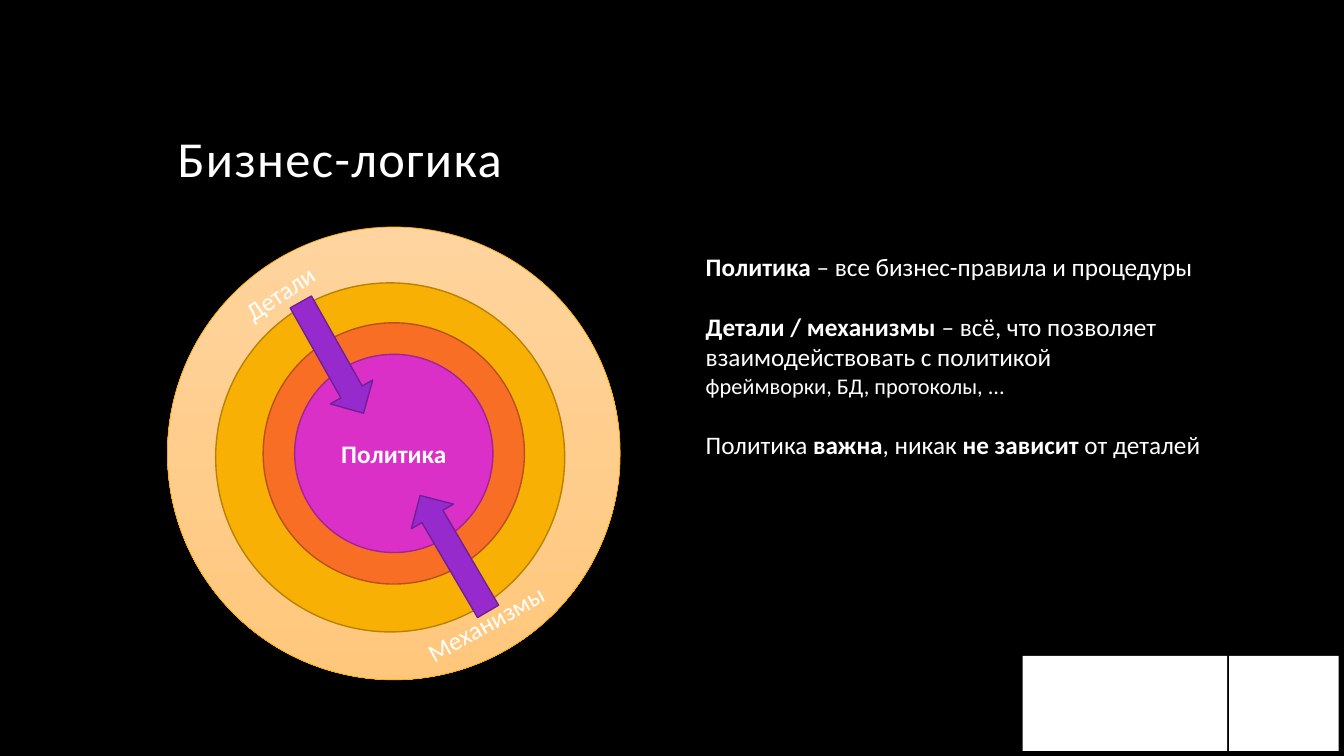
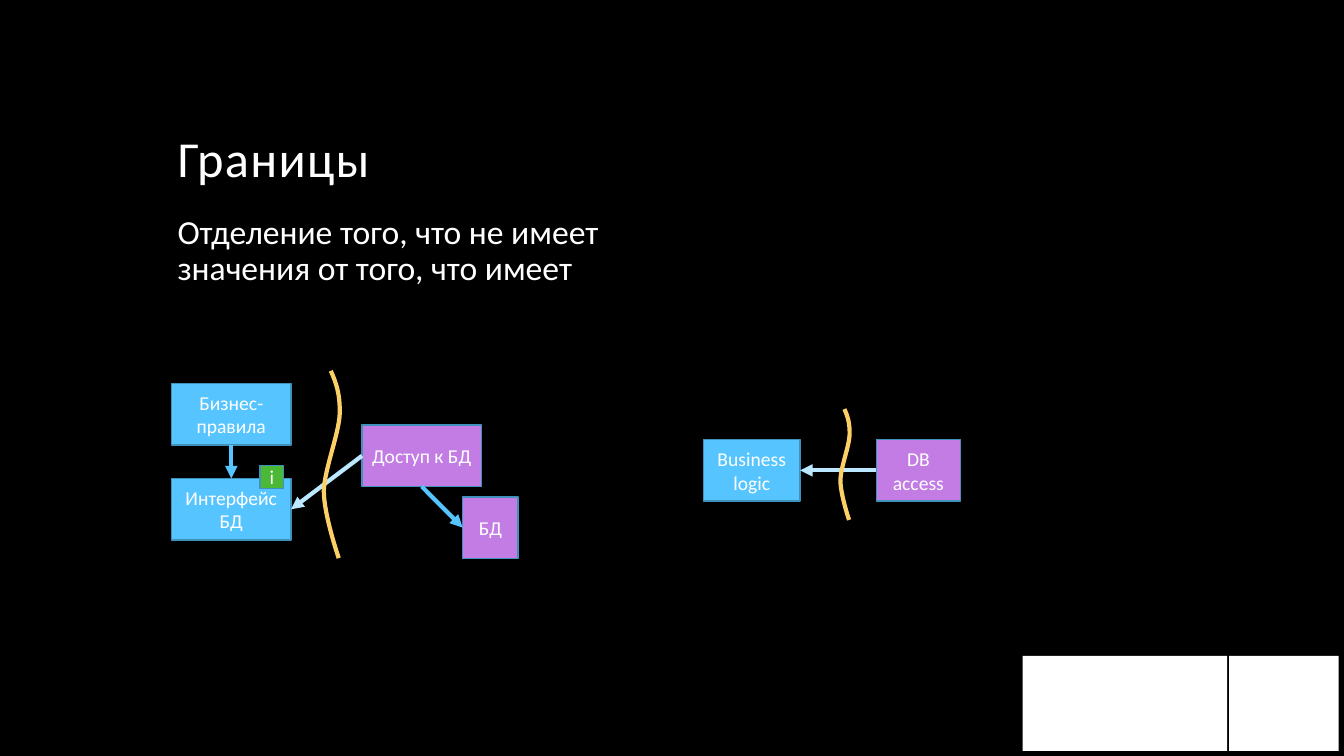
from dataclasses import dataclass

from lxml.etree import SubElement
from pptx import Presentation
from pptx.dml.color import RGBColor
from pptx.enum.shapes import MSO_CONNECTOR as Line, MSO_SHAPE as Shape
from pptx.enum.text import MSO_ANCHOR as Anchor, PP_ALIGN as Align
from pptx.oxml.ns import qn
from pptx.util import Inches, Pt

COLS, ROWS = 160, 90
TOP, LEFT, BOTTOM, RIGHT = range(4)


@dataclass(frozen=True)
class Theme:
    font: str = "Calibri"
    back: str = "000000"
    text: str = "FFFFFF"
    halo: tuple = ("FFD49E", "FFC77C")
    halo_line: str = "F8B004"
    amber: tuple = ("F8B004", "B78203")
    orange: tuple = ("F86E24", "B7511B")
    magenta: tuple = ("DB30C7", "A22493")
    violet: tuple = ("972ACD", "701F98")
    blue: tuple = ("56C5FF", "4092BD")
    lilac: tuple = ("C27CE4", "4092BD")
    green: tuple = ("4BB836", "4092BD")
    pale: str = "BBE8FF"
    border: str = "FDD067"
    title_size: int = 36
    lead_size: int = 24
    body_size: int = 18
    note_size: int = 16
    box_size: int = 14


class Deck:
    def __init__(self, theme):
        self.theme = theme
        self.prs = Presentation()
        self.prs.slide_width, self.prs.slide_height = Inches(13.333), Inches(7.5)
        self.slide = None

    def grid(self, *cells):
        units = (self.prs.slide_width / COLS, self.prs.slide_height / ROWS)
        return [round(c * units[i % 2]) for i, c in enumerate(cells)]

    def color(self, value):
        return RGBColor.from_string(value)

    def new_slide(self, title):
        self.slide = self.prs.slides.add_slide(self.prs.slide_layouts[6])
        fill = self.slide.background.fill
        fill.solid()
        fill.fore_color.rgb = self.color(self.theme.back)
        for x, w in ((121.75, 24.35), (146.33, 13.05)):
            self.shape(Shape.RECTANGLE, (x, 78.1, w, 11.3), (self.theme.text, None))
        tf = self.text((19.95, 5, 120, 18), [[(title,)]], self.theme.title_size, spacing=0.9)
        tf.vertical_anchor = Anchor.BOTTOM
        for r in tf.paragraphs[0].runs:
            r.font._element.set("spc", "100")

    def style(self, p, size, align=None):
        p.alignment = align
        p.font.name, p.font.size = self.theme.font, Pt(size)
        p.font.color.rgb = self.color(self.theme.text)

    def text(self, at, paragraphs, size, spacing=None, gap=0, rotation=0, wrap=True):
        sp = self.slide.shapes.add_textbox(*self.grid(*at))
        sp.rotation = rotation
        tf = sp.text_frame
        tf.word_wrap = wrap
        for i, runs in enumerate(paragraphs):
            p = tf.paragraphs[0] if i == 0 else tf.add_paragraph()
            self.style(p, size)
            p.line_spacing = spacing
            p.space_before = Pt(gap if i else 0)
            for text, *look in runs:
                if text == "\n":
                    p.add_line_break()
                    continue
                r = p.add_run()
                r.text = text
                r.font.bold = "bold" in look
                if "note" in look:
                    r.font.size = Pt(self.theme.note_size)
        return tf

    def label(self, center, size, text, rotation):
        (x, y), (w, h) = center, size
        self.text((x - w / 2, y - h / 2, w, h), [[(text,)]], self.theme.body_size,
                  rotation=rotation, wrap=False)

    def shape(self, kind, at, colors, width=1, text="", size=None, bold=False):
        sp = self.slide.shapes.add_shape(kind, *self.grid(*at))
        sp.shadow.inherit = False
        fill, line = colors
        if isinstance(fill, tuple):
            sp.fill.gradient()
            sp.fill.gradient_angle = 270
            for stop, value in zip(sp.fill.gradient_stops, fill):
                stop.color.rgb = self.color(value)
        else:
            sp.fill.solid()
            sp.fill.fore_color.rgb = self.color(fill)
        if line:
            sp.line.color.rgb = self.color(line)
            sp.line.width = Pt(width)
        else:
            sp.line.fill.background()
        if text:
            tf = sp.text_frame
            tf.word_wrap = True
            tf.margin_left = tf.margin_right = Inches(0.05)
            tf.vertical_anchor = Anchor.MIDDLE
            p = tf.paragraphs[0]
            p.text = text
            self.style(p, size, Align.CENTER)
            p.font.bold = bold
        return sp

    def ring(self, center, diameter, colors, **kw):
        x, y = (c - diameter / 2 for c in center)
        return self.shape(Shape.OVAL, (x, y, diameter, diameter), colors, **kw)

    def block_arrow(self, center, length, rotation):
        (x, y), h = center, 5.8
        sp = self.shape(Shape.RIGHT_ARROW, (x - length / 2, y - h / 2, length, h),
                        self.theme.violet)
        sp.rotation = rotation

    def box(self, at, text, colors):
        return self.shape(Shape.RECTANGLE, at, colors, text=text, size=self.theme.box_size)

    def link(self, start, start_side, end, end_side, color):
        cxn = self.slide.shapes.add_connector(Line.STRAIGHT, 0, 0, 0, 0)
        cxn.begin_connect(start, start_side)
        cxn.end_connect(end, end_side)
        cxn.line.color.rgb = self.color(color)
        cxn.line.width = Pt(3)
        SubElement(cxn.line._get_or_add_ln(), qn("a:tailEnd"), type="triangle")
        SubElement(cxn._element.spPr, qn("a:effectLst"))

    def wave(self, x, y, w, h):
        nodes = [(0.44, 0), (0.75, 0.06), (1.03, 0.12), (1, 0.23), (0.94, 0.34),
                 (0.06, 0.52), (0, 0.64), (0, 0.77), (0.94, 1), (0.94, 1)]
        points = [self.grid(x + px * w, y + py * h) for px, py in nodes]
        builder = self.slide.shapes.build_freeform(*points[0])
        builder.add_line_segments(points[1:], close=False)
        sp = builder.convert_to_shape()
        outline = next(sp._element.iter(qn("a:path")))
        segments = outline.findall(qn("a:lnTo"))
        for i in range(0, len(segments), 3):
            curve = SubElement(outline, qn("a:cubicBezTo"))
            for segment in segments[i:i + 3]:
                curve.append(segment[0])
                outline.remove(segment)
        sp.shadow.inherit = False
        sp.fill.background()
        sp.line.color.rgb = self.color(self.theme.border)
        sp.line.width = Pt(3)


def business_logic(deck):
    th = deck.theme
    deck.new_slide("Бизнес-логика")
    center = (46.88, 53.98)
    deck.ring(center, 53.9, (th.halo, th.halo_line), width=0.5)
    deck.ring((46.45, 54.45), 41.55, th.amber)
    deck.ring(center, 31.1, th.orange)
    deck.ring(center, 23.6, th.magenta, text="Политика", size=th.body_size, bold=True)
    deck.label((57.88, 74.16), (17.8, 4.8), "Механизмы", 331)
    deck.label((33.54, 34.68), (12.1, 4.8), "Детали", 326.1)
    deck.text((82.84, 29.3, 75.6, 26.3), [
        [("Политика", "bold"), (" – все бизнес-правила и процедуры",)],
        [("Детали / механизмы ", "bold"),
         ("– всё, что позволяет взаимодействовать с политикой",),
         ("\n",), ("фреймворки, БД, протоколы, ...", "note")],
        [("Политика ",), ("важна", "bold"), (", никак ",),
         ("не зависит ", "bold"), ("от деталей",)],
    ], th.body_size, gap=21.5)
    deck.block_arrow((54.06, 65.88), 16, 239.6)
    deck.block_arrow((39.54, 42.57), 15.2, 60.6)


def boundaries(deck):
    th = deck.theme
    w, h = 14.22, 7.32
    deck.new_slide("Границы")
    deck.text((19.95, 25.05, 55.3, 54),
              [[("Отделение того, что не имеет значения от того, что имеет",)]],
              th.lead_size, spacing=0.9)
    rules = deck.box((20.43, 45.67, w, h), "Бизнес-правила", th.blue)
    interface = deck.box((20.43, 56.97, w, h), "Интерфейс БД", th.blue)
    access = deck.box((43.1, 50.6, w, h), "Доступ к БД", th.lilac)
    database = deck.box((55.08, 59.15, 6.6, h), "БД", th.lilac)
    deck.link(access, BOTTOM, database, LEFT, th.blue[0])
    deck.link(rules, BOTTOM, interface, TOP, th.blue[0])
    deck.link(access, LEFT, interface, RIGHT, th.pale)
    deck.box((30.95, 55.4, 2.8, 2.75), "i", th.green)
    deck.wave(38.55, 44.15, 1.9, 22.3)

    logic = deck.box((83.75, 52.34, 11.5, h), "Business logic", th.blue)
    db_access = deck.box((104.33, 52.34, 10, h), "DB access", th.lilac)
    deck.link(db_access, LEFT, logic, RIGHT, th.pale)
    deck.wave(100.05, 48.7, 1.1, 13.2)


def main():
    deck = Deck(Theme())
    business_logic(deck)
    boundaries(deck)
    deck.prs.save("out.pptx")


if __name__ == "__main__":
    main()
